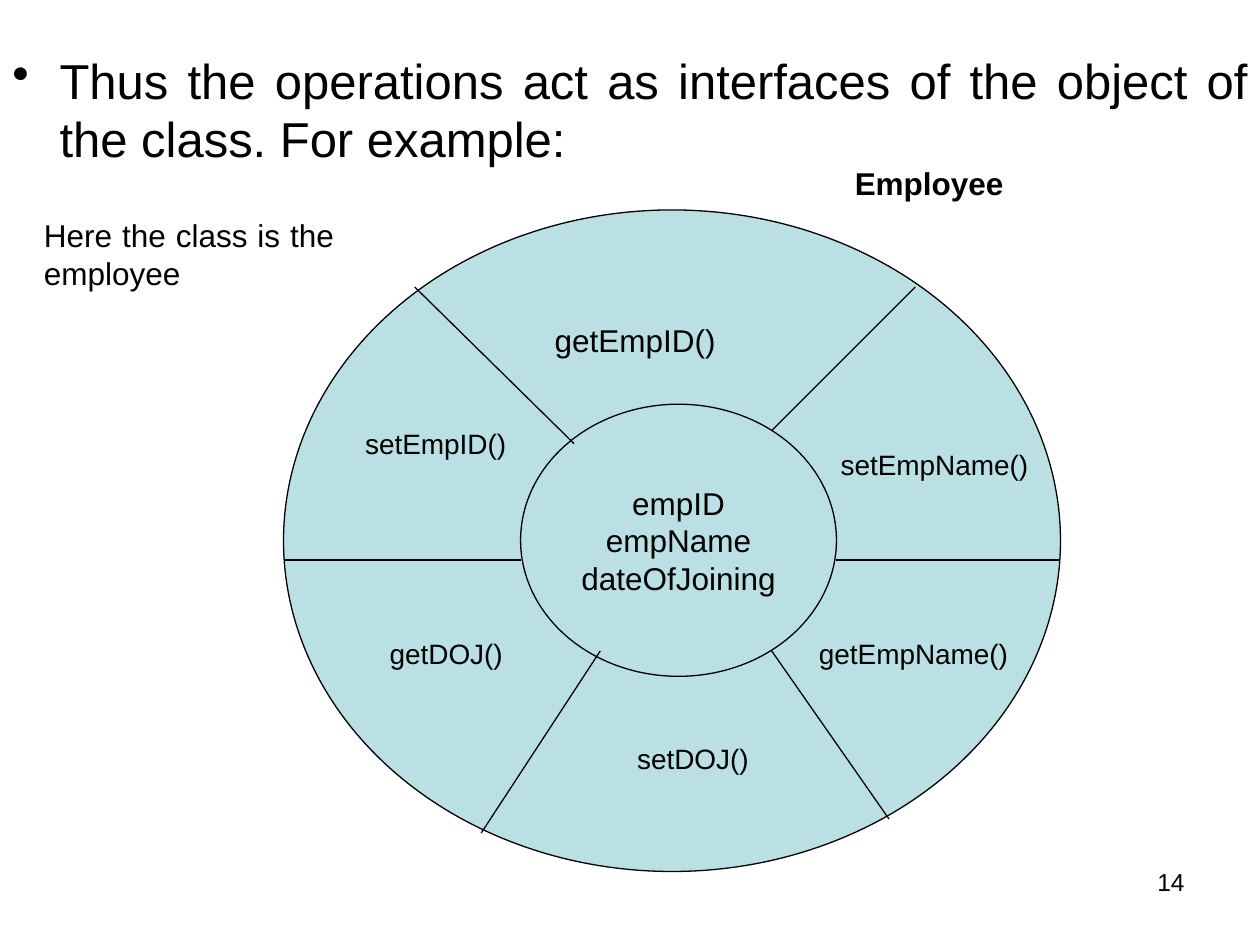
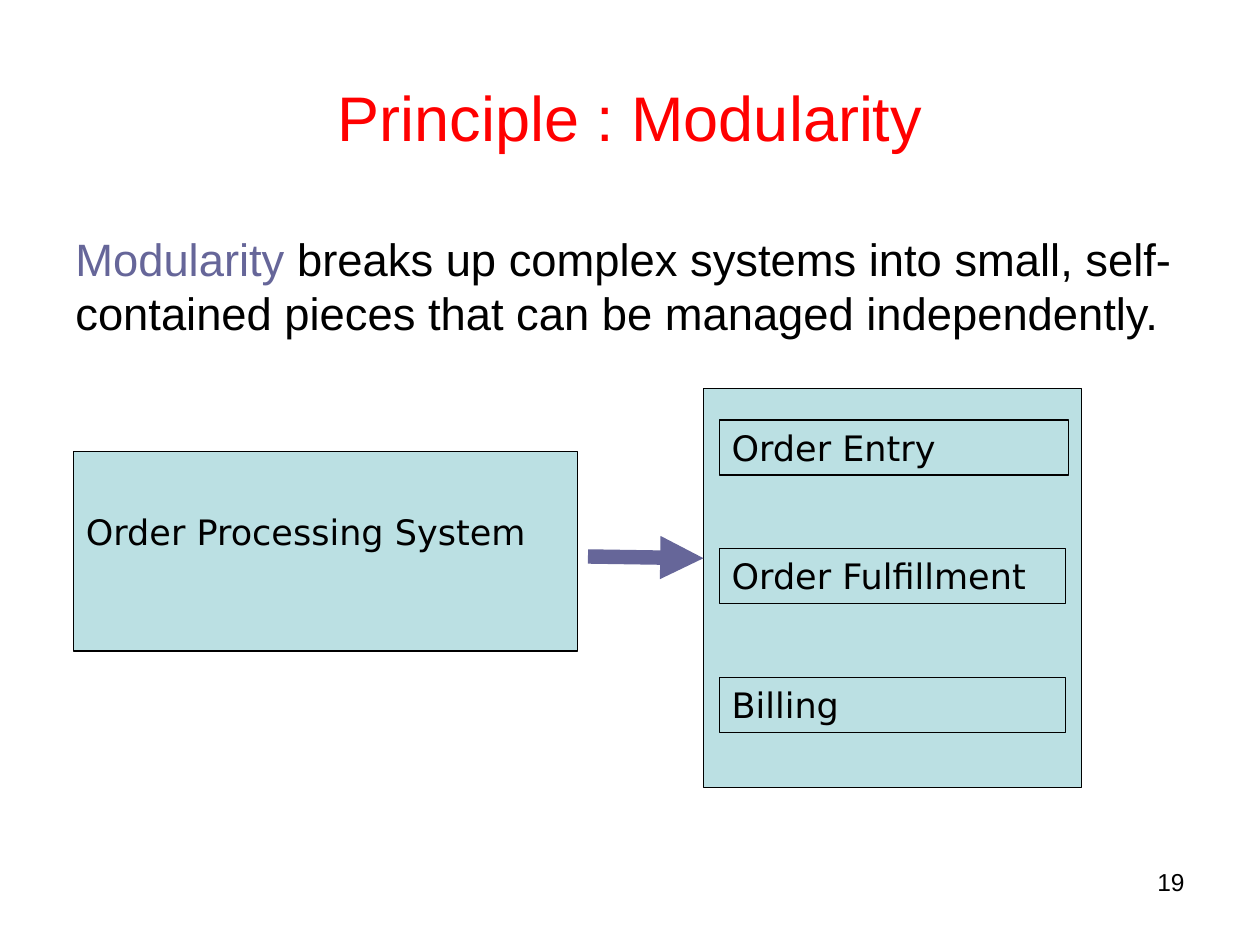
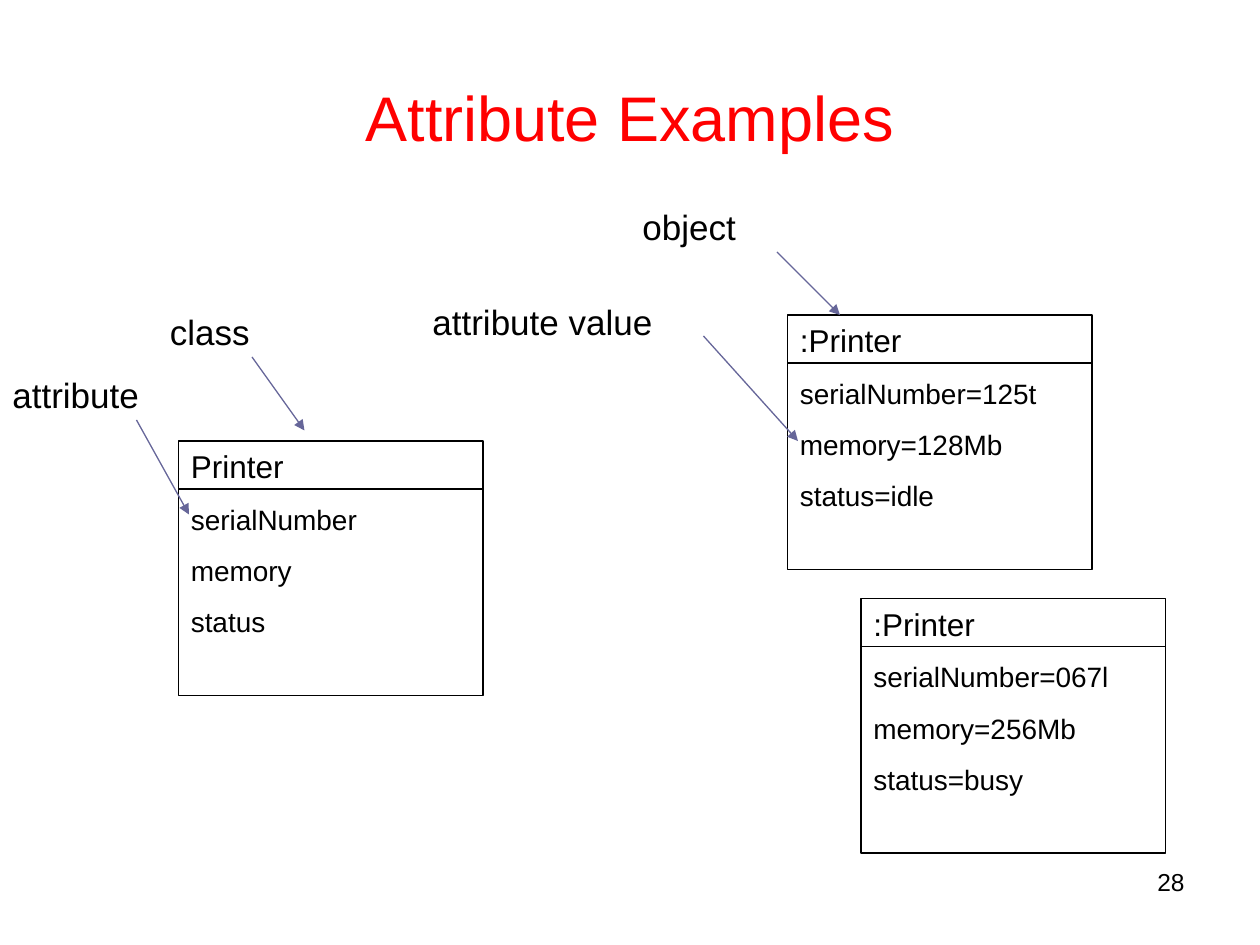
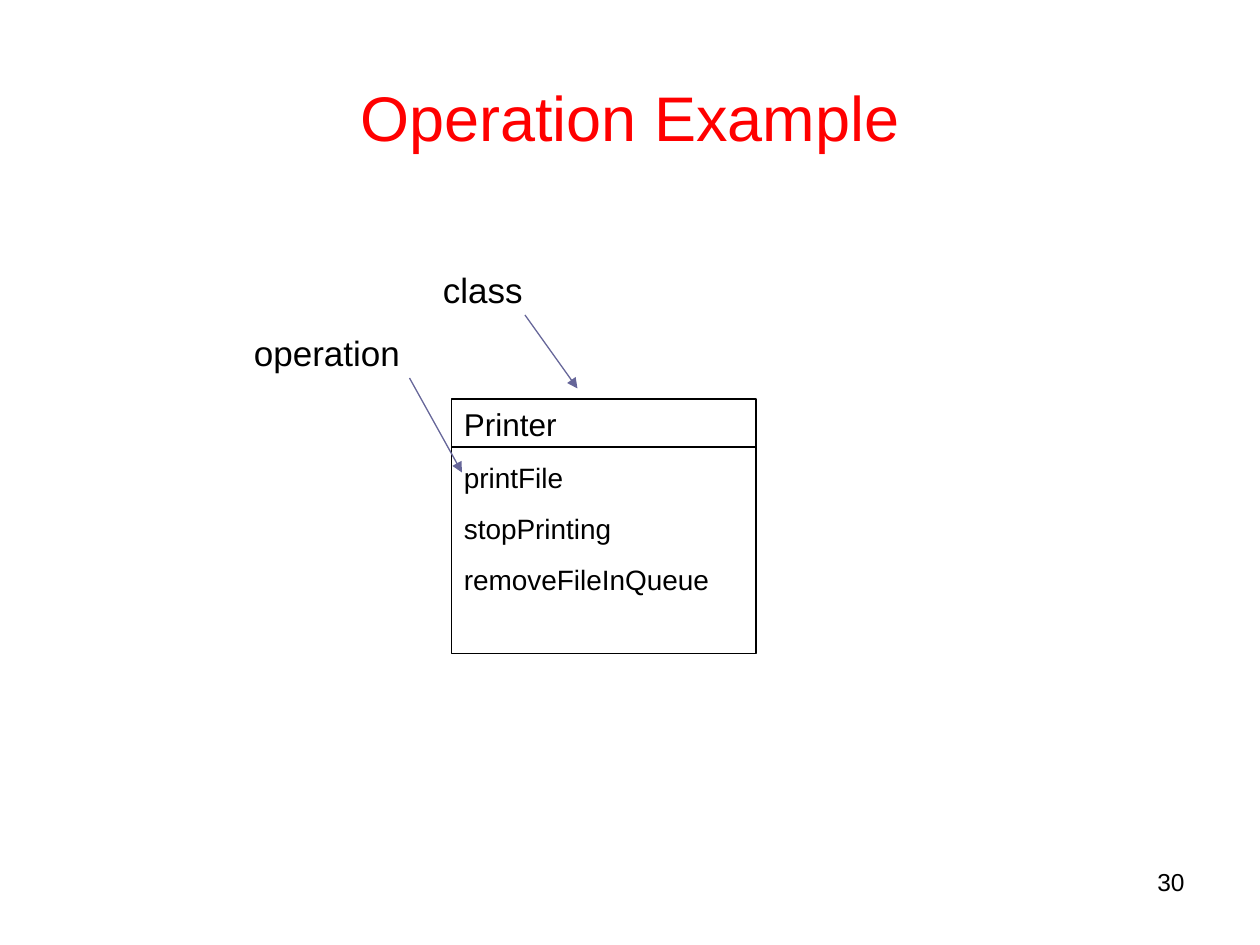
import pptx
import pptx.util
import pptx.dml.color
import pptx.enum.shapes
import pptx.enum.text
import pptx.oxml.ns
import lxml.etree

Pt = pptx.util.Pt
FORM = pptx.enum.shapes.MSO_SHAPE
ALIGN = pptx.enum.text.PP_ALIGN
ANCHOR = pptx.enum.text.MSO_ANCHOR

BLACK, RED, TEAL, VIOLET = "000000", "FF0000", "BBE0E3", "666699"
SANS, WIDE = "Arial", "DejaVu Sans"


def color(code):
    return pptx.dml.color.RGBColor.from_string(code)


def node(parent, tag, **attrs):
    return lxml.etree.SubElement(parent, pptx.oxml.ns.qn(tag), attrs)


def write(shape, paras, size=18, font=SANS, ink=BLACK, bold=False, align=ALIGN.LEFT,
          anchor=ANCHOR.TOP, wrap=True, top=3.6, bottom=3.6, gap=0, rest=None, bullet=None):
    """Each paragraph is a string or a list of (text, color) runs; rest sizes those after the first."""
    frame = shape.text_frame
    frame.word_wrap = wrap
    frame.vertical_anchor = anchor
    frame.margin_left = frame.margin_right = Pt(7.2)
    frame.margin_top, frame.margin_bottom = Pt(top), Pt(bottom)
    for i, runs in enumerate(paras):
        para = frame.add_paragraph() if i else frame.paragraphs[0]
        if bullet:
            props = para._p.get_or_add_pPr()
            props.set("marL", str(Pt(27)))
            props.set("indent", str(-Pt(27)))
            node(node(props, "a:buClr"), "a:srgbClr", val=ink)
            node(props, "a:buChar", char=bullet)
        para.alignment = align
        if i and gap:
            para.space_before = Pt(gap)
        for words, tint in [(runs, ink)] if isinstance(runs, str) else runs:
            run = para.add_run()
            run.text = words
            run.font.name, run.font.bold = font, bold
            run.font.size = Pt(rest if i and rest else size)
            run.font.color.rgb = color(tint)


def label(slide, words, x, y, w, h, **style):
    box = slide.shapes.add_textbox(Pt(x), Pt(y), Pt(w), Pt(h))
    write(box, [words], **style)


def shape(slide, form, x, y, w, h, fill=None):
    item = slide.shapes.add_shape(form, Pt(x), Pt(y), Pt(w), Pt(h))
    item.shadow.inherit = False
    if fill:
        item.fill.solid()
        item.fill.fore_color.rgb = color(fill)
    else:
        item.fill.background()
    item.line.color.rgb = color(BLACK)
    item.line.width = Pt(0.75)
    return item


def line(slide, x1, y1, x2, y2, ink=BLACK, width=0.75, arrow=False):
    item = slide.shapes.add_connector(
        pptx.enum.shapes.MSO_CONNECTOR.STRAIGHT, Pt(x1), Pt(y1), Pt(x2), Pt(y2))
    item.line.color.rgb = color(ink)
    item.line.width = Pt(width)
    if arrow:
        node(item.line._get_or_add_ln(), "a:tailEnd", type="triangle")
    node(item._element.spPr, "a:effectLst")


def page(deck, number, title=None):
    """Start a slide with its number and, if given, its title."""
    slide = deck.slides.add_slide(deck.slide_layouts[6])
    if title:
        label(slide, title, 36, 21.6, 648, 90, size=36, ink=RED,
              align=ALIGN.CENTER, anchor=ANCHOR.MIDDLE)
    label(slide, str(number), 516, 492, 168, 37.5, size=14, align=ALIGN.RIGHT)
    return slide


def wheel(slide, x, y, w, h):
    """Ring of operations around a core of attributes."""
    shape(slide, FORM.OVAL, x, y, w, h, TEAL)
    core = shape(slide, FORM.OVAL, x + 135.5, y + 111, 180.5, 155.5, TEAL)
    write(core, ["empID", "empName", "dateOfJoining"], align=ALIGN.CENTER,
          anchor=ANCHOR.MIDDLE, wrap=False)
    # Spokes between the operations
    for x1, y1, x2, y2 in [(75, 44, 166, 133.5), (279, 126, 361, 44),
                           (0, 200, 135.5, 200), (316, 200, w, 200),
                           (181, 252, 113, 356), (279, 252, 346, 348)]:
        line(slide, x + x1, y + y1, x + x2, y + y2)
    # Operation names
    for name, dx, dy, wide, size in [
            ("getEmpID()", 144, 60, 114, 18), ("setEmpName()", 306, 132, 132, 16),
            ("getEmpName()", 294, 240, 132, 16), ("setDOJ()", 174, 300, 120, 16),
            ("getDOJ()", 36, 240, 114, 16), ("setEmpID()", 36, 120, 102, 16)]:
        label(slide, name, x + dx, y + dy, wide, 27, size=size, align=ALIGN.CENTER)


def modules(slide, x, y, w, h):
    """Panel that holds the parts of the system."""
    shape(slide, FORM.RECTANGLE, x, y, w, h, TEAL)
    for i, name in enumerate(["Order Entry", "Order Fulfillment", "Billing"]):
        item = shape(slide, FORM.RECTANGLE, x + 9, y + 18 + 73.5 * i,
                     198 if i else 199.5, 31.5, None if i else TEAL)
        write(item, [name], size=20, font=WIDE)


def card(slide, x, y, name, members):
    """Class or object box: a name above a rule, members below."""
    box = shape(slide, FORM.RECTANGLE, x, y, 174, 145.5)
    write(box, [name] + members, rest=16, gap=10)
    line(slide, x, y + 27.4, x + 174, y + 27.4)


def note(slide, words, x, y, w, start, end):
    """Label with an arrow to what it names."""
    label(slide, words, x, y, w, 31.5, size=20)
    line(slide, *start, *end, ink=VIOLET, arrow=True)


def sample(slide, x, y, members, member, shift, wide):
    """Printer class with notes for the class and its first member."""
    card(slide, x, y, "Printer", members)
    note(slide, "class", x - 12, y - 78, 84, (x + 42, y - 48), (x + 72, y - 6))
    note(slide, member, x - shift, y - 42, wide, (x - 24, y - 12), (x + 6, y + 42))


def employee(deck):
    slide = page(deck, 14)
    label(slide, "Thus the operations act as interfaces of the object of the class. For example:",
          0, 21.6, 720, 494.6, size=28, align=ALIGN.JUSTIFY, bullet="•", top=7)
    wheel(slide, 162, 120, 444, 378)
    label(slide, "Employee", 462, 90, 138, 29, bold=True, align=ALIGN.CENTER)
    label(slide, "Here the class is the employee", 18, 120, 180, 50, align=ALIGN.JUSTIFY)


def modular(deck):
    slide = page(deck, 19, "Principle : Modularity")
    label(slide, [("Modularity", VIOLET),
                  (" breaks up complex systems into small, self-contained pieces "
                   "that can be managed independently.", BLACK)],
          36, 126, 648, 102, size=25.9, top=6)
    system = shape(slide, FORM.RECTANGLE, 42, 258, 288, 114, TEAL)
    write(system, ["Order Processing System"], size=20, font=WIDE,
          anchor=ANCHOR.MIDDLE, bottom=26)
    modules(slide, 402, 222, 216, 228)
    line(slide, 336, 318, 402, 319, ink=VIOLET, width=8.25, arrow=True)


def attributes(deck):
    slide = page(deck, 28, "Attribute Examples")
    sample(slide, 102, 252, ["serialNumber", "memory", "status"], "attribute", 102, 108)
    for x, y, values in [(492, 342, ("067l", "256Mb", "busy")),
                         (450, 180, ("125t", "128Mb", "idle"))]:
        keys = ("serialNumber", "memory", "status")
        card(slide, x, y, ":Printer", [f"{k}={v}" for k, v in zip(keys, values)])
    note(slide, "object", 360, 114, 84, (444, 144), (480, 180))
    note(slide, "attribute value", 240, 168, 162, (402, 192), (456, 252))


def operations(deck):
    slide = page(deck, 30, "Operation Example")
    sample(slide, 258, 228, ["printFile", "stopPrinting", "removeFileInQueue"],
           "operation", 120, 126)


def main():
    deck = pptx.Presentation()
    deck.slide_width, deck.slide_height = Pt(720), Pt(540)
    for build in (employee, modular, attributes, operations):
        build(deck)
    deck.save("out.pptx")


if __name__ == "__main__":
    main()
